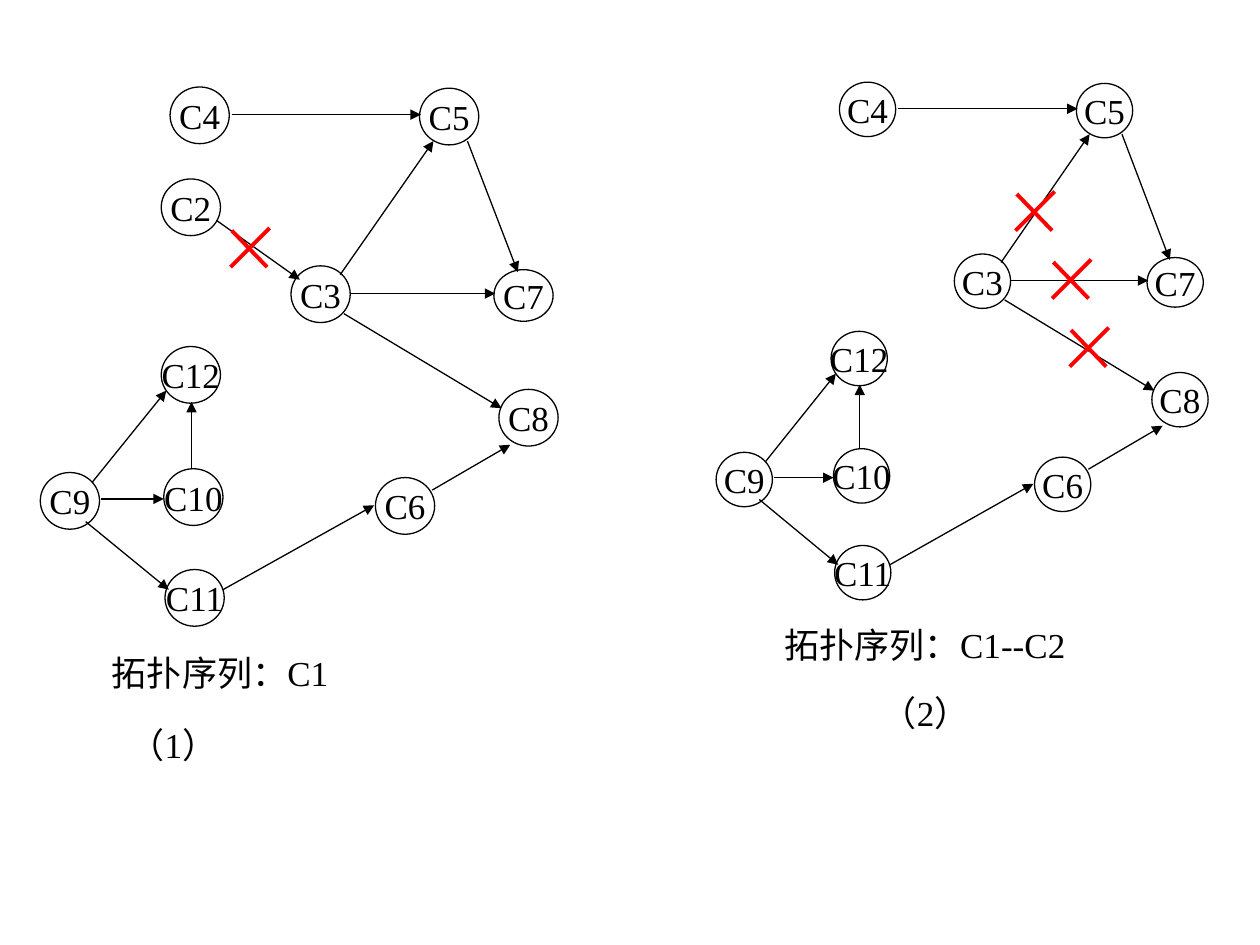
from lxml import etree
from pptx import Presentation
from pptx.dml.color import RGBColor
from pptx.enum.shapes import MSO_CONNECTOR as Connector, MSO_SHAPE as Shape
from pptx.enum.text import MSO_ANCHOR as Anchor, MSO_AUTO_SIZE as AutoSize, PP_ALIGN as Align
from pptx.oxml.ns import qn
from pptx.util import Inches, Pt

FONT = "Times New Roman"
BLACK, RED = "000000", "FF0000"
NODE_WIDTH, NODE_HEIGHT = 0.47, 0.45

# Top-left corner of each node in the first graph
NODES = {
    "C2": (1.28, 1.42), "C3": (2.31, 2.11), "C4": (1.35, 0.69), "C5": (3.33, 0.7),
    "C6": (2.98, 3.79), "C7": (3.92, 2.14), "C8": (3.96, 3.09), "C9": (0.32, 3.75),
    "C10": (1.3, 3.72), "C11": (1.31, 4.52), "C12": (1.28, 2.75),
}
NODE_HEIGHTS = {"C7": 0.41}

# Start and end point of each arrow in the first graph
EDGES = {
    ("C2", "C3"): (1.72, 1.75, 2.38, 2.22),
    ("C4", "C5"): (1.84, 0.91, 3.34, 0.91),
    ("C3", "C5"): (2.7, 2.18, 3.44, 1.12),
    ("C3", "C7"): (2.78, 2.33, 3.93, 2.33),
    ("C5", "C7"): (3.71, 1.12, 4.11, 2.16),
    ("C9", "C12"): (0.73, 3.83, 1.32, 3.1),
    ("C9", "C10"): (0.8, 3.96, 1.3, 3.96),
    ("C10", "C12"): (1.52, 3.72, 1.52, 3.19),
    ("C9", "C11"): (0.68, 4.14, 1.34, 4.68),
    ("C11", "C6"): (1.77, 4.68, 2.97, 4.01),
    ("C6", "C8"): (3.43, 3.89, 4.05, 3.53),
    ("C3", "C8"): (2.73, 2.49, 3.98, 3.24),
}


def color(value):
    return RGBColor.from_string(value)


def same_place(x, y):
    return x, y


def second_place(x, y):
    """Map a point of the first graph to the smaller second graph."""
    return 5.38 + 0.95 * x, 0.96 * y - 0.01


def add_span(para, text):
    span = para.add_run()
    span.text = text
    span.font.name = FONT
    span.font.size = Pt(20)
    span.font.color.rgb = color(BLACK)


def add_node(group, name, left, top, width, height):
    node = group.shapes.add_shape(
        Shape.OVAL, Inches(left), Inches(top), Inches(width), Inches(height))
    node.shadow.inherit = False
    node.fill.background()
    node.line.color.rgb = color(BLACK)
    node.line.width = Pt(0.75)
    frame = node.text_frame
    frame.word_wrap = False
    frame.vertical_anchor = Anchor.MIDDLE
    para = frame.paragraphs[0]
    para.alignment = Align.CENTER
    add_span(para, name)


def add_line(group, start, end, line_color=BLACK, weight=0.75, arrow=False):
    line = group.shapes.add_connector(
        Connector.STRAIGHT, *(Inches(value) for value in (*start, *end)))
    line.line.color.rgb = color(line_color)
    line.line.width = Pt(weight)
    if arrow:
        etree.SubElement(line.line._get_or_add_ln(), qn("a:tailEnd"), type="triangle")
    etree.SubElement(line._element.spPr, qn("a:effectLst"))


def add_caption(group, text, left, top, width):
    box = group.shapes.add_textbox(Inches(left), Inches(top), Inches(width), Inches(0.44))
    box.text_frame.word_wrap = False
    box.text_frame.auto_size = AutoSize.SHAPE_TO_FIT_TEXT
    add_span(box.text_frame.paragraphs[0], text)


def add_graph(page, place, removed, captions):
    group = page.shapes.add_group_shape()
    for name, (left, top) in NODES.items():
        if name in removed:
            continue
        x, y = place(left, top)
        right, bottom = place(left + NODE_WIDTH, top + NODE_HEIGHTS.get(name, NODE_HEIGHT))
        add_node(group, name, x, y, right - x, bottom - y)
    for ends, (x1, y1, x2, y2) in EDGES.items():
        if not removed.intersection(ends):
            add_line(group, place(x1, y1), place(x2, y2), arrow=True)
    for caption in captions:
        add_caption(group, *caption)


def add_crosses(page, corners):
    """Strike out edges with red crosses at the given top-left corners."""
    group = page.shapes.add_group_shape()
    for x, y in corners:
        add_line(group, (x + 0.01, y + 0.02), (x + 0.29, y + 0.31), RED, 2.25)
        add_line(group, (x + 0.31, y), (x, y + 0.31), RED, 2.25)


def main():
    deck = Presentation()
    deck.slide_width, deck.slide_height = Inches(10), Inches(7.5)
    page = deck.slides.add_slide(deck.slide_layouts[6])

    # Step 1 on the left, step 2 without C2 on the right
    add_graph(page, same_place, set(), [
        ("拓扑序列：C1", 0.79, 5.12, 1.98), ("（1）", 0.93, 5.69, 1.03)])
    add_graph(page, second_place, {"C2"}, [
        ("拓扑序列：C1--C2", 6.13, 4.9, 2.49), ("（2）", 6.9, 5.44, 1.03)])

    # Edges deleted in each step
    add_crosses(page, [(1.83, 1.81)])
    add_crosses(page, [(8.06, 1.52), (8.35, 2.06), (8.49, 2.6)])

    deck.save("out.pptx")


if __name__ == "__main__":
    main()
